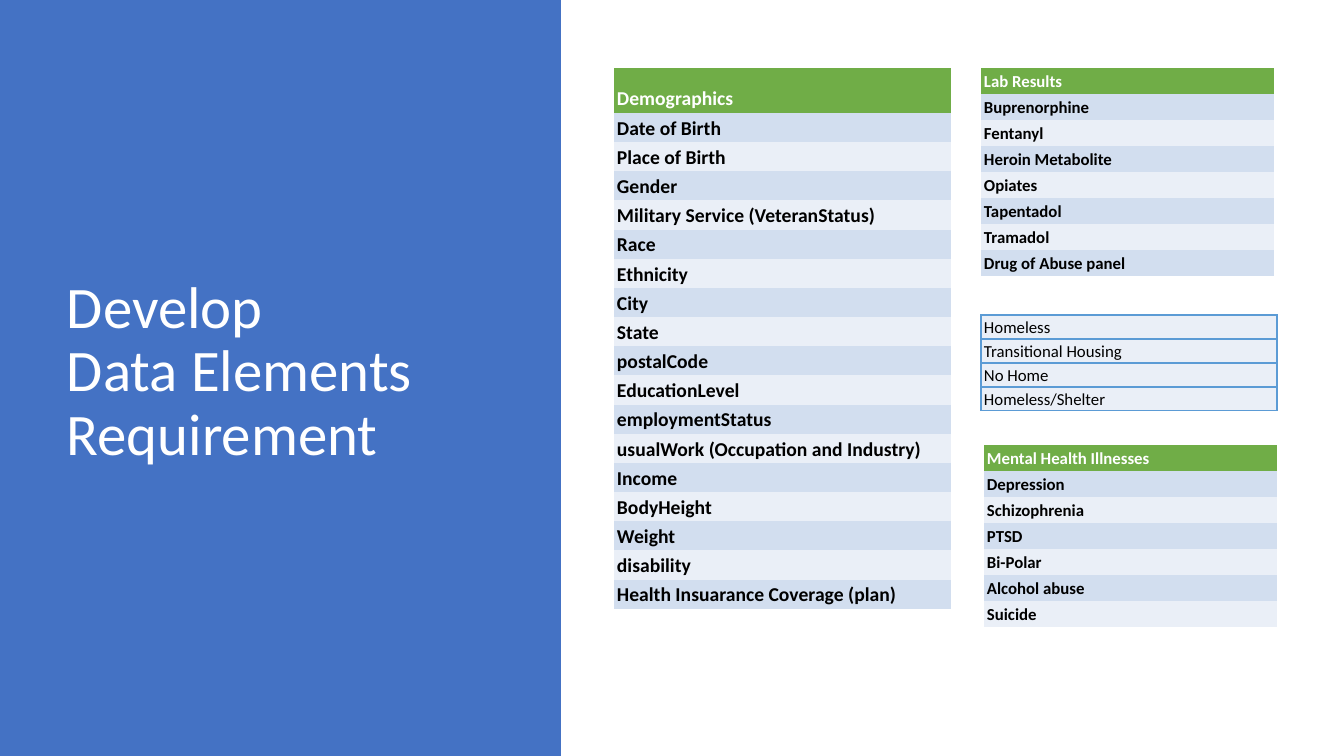
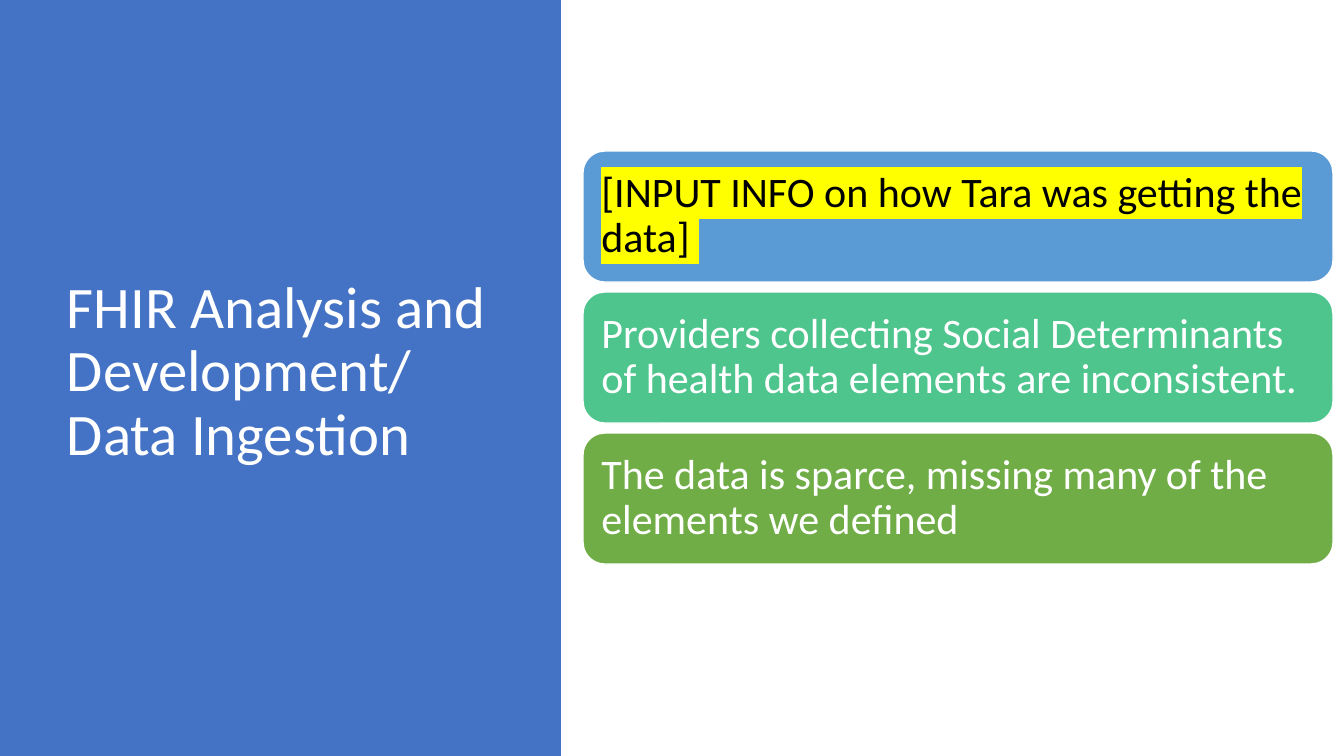
from lxml import etree
from pptx import Presentation
from pptx.dml.color import RGBColor
from pptx.enum import shapes, text
from pptx.oxml.ns import qn
from pptx.util import Emu, Pt

SCALE = 914400 / 100.8  # EMU in one px
WIDE, HIGH = 1344, 756
PLAIN = "{2D5ABB26-0587-4C30-8999-92F81FD0307C}"  # table style without grid
COLORS = {
    "panel": "4472C4", "white": "FFFFFF", "black": "000000",
    "green": "70AD47", "teal": "4DC58D", "blue": "5B9BD5",
    "dark": "D2DEEF", "light": "EAEFF7", "mark": "FFFF00",
}


def px(n):
    return Emu(round(n * SCALE))


def rgb(name):
    return RGBColor.from_string(COLORS[name])


def add_fill(parent, name):
    fill = etree.SubElement(parent, qn("a:solidFill"))
    etree.SubElement(fill, qn("a:srgbClr"), val=COLORS[name])


class Deck:
    font = "Calibri"

    def __init__(self):
        self.prs = Presentation()
        self.prs.slide_width, self.prs.slide_height = px(WIDE), px(HIGH)
        self.slide = None

    def page(self, title):
        """Start a slide with the side panel and its title."""
        self.slide = self.prs.slides.add_slide(self.prs.slide_layouts[6])
        self.shape(shapes.MSO_SHAPE.RECTANGLE, 0, 0, 561, HIGH, "panel")
        box = self.slide.shapes.add_textbox(px(57), px(69), px(449), px(607))
        self.label(box.text_frame, title, 42, "white", ls=0.9)

    def shape(self, kind, x, y, w, h, fill):
        item = self.slide.shapes.add_shape(kind, px(x), px(y), px(w), px(h))
        item.shadow.inherit = False
        item.fill.solid()
        item.fill.fore_color.rgb = rgb(fill)
        item.line.fill.background()
        return item

    def label(self, frame, words, size, color, bold=False, ls=1.0):
        frame.word_wrap = True
        frame.vertical_anchor = text.MSO_ANCHOR.MIDDLE
        frame.text = words
        self.style(frame.paragraphs[0], size, color, bold, ls)

    def style(self, par, size, color, bold, ls):
        par.alignment = text.PP_ALIGN.LEFT
        par.line_spacing = ls
        for run in par.runs:
            run.font.name, run.font.size, run.font.bold = self.font, Pt(size), bold
            run.font.color.rgb = rgb(color)

    def card(self, x, y, w, h, words, fill, color="white", mark=None):
        item = self.shape(shapes.MSO_SHAPE.ROUNDED_RECTANGLE, x, y, w, h, fill)
        item.line.color.rgb = rgb("white")
        item.line.width = Pt(1)
        frame = item.text_frame
        frame.margin_left = frame.margin_right = px(12)
        frame.margin_top = frame.margin_bottom = px(12)
        self.label(frame, words, 30, color, ls=0.9)
        if mark:
            for run in frame.paragraphs[0].runs:
                light = etree.Element(qn("a:highlight"))
                etree.SubElement(light, qn("a:srgbClr"), val=COLORS[mark])
                run._r.rPr.find(qn("a:latin")).addprevious(light)

    def table(self, x, y, w, row, items, size=12, top=None, head=True):
        """One column: a banded list under a header, or a ruled list."""
        grid = self.slide.shapes.add_table(
            len(items), 1, px(x), px(y), px(w), px(row * len(items))).table
        grid._tbl.tblPr.find(qn("a:tableStyleId")).text = PLAIN
        grid.first_row = grid.horz_banding = False
        for i, words in enumerate(items):
            grid.rows[i].height = px(top if top and i == 0 else row)
            cell = grid.cell(i, 0)
            cell.margin_left = cell.margin_right = px(3)
            cell.margin_top, cell.margin_bottom = px(2), px(2 if head else 1)
            cell.vertical_anchor = text.MSO_ANCHOR.BOTTOM
            cell.text = words
            first = head and i == 0
            self.style(cell.text_frame.paragraphs[0], size,
                       "white" if first else "black", head, 1.07 if head else 1.0)
            if not head:
                self.border(cell, "blue")
            band = "dark" if head and i % 2 else "light"
            cell.fill.solid()
            cell.fill.fore_color.rgb = rgb("green" if first else band)

    def border(self, cell, color):
        props = cell._tc.get_or_add_tcPr()
        for side in "LRTB":
            line = etree.SubElement(props, qn("a:ln" + side), w=str(Pt(1)))
            add_fill(line, color)


def main():
    deck = Deck()

    # Data elements
    deck.page("Develop \vData Elements Requirement")
    deck.table(614, 68, 337, 29, [
        "Demographics", "Date of Birth", "Place of Birth", "Gender",
        "Military Service (VeteranStatus)", "Race", "Ethnicity", "City",
        "State", "postalCode", "EducationLevel", "employmentStatus",
        "usualWork (Occupation and Industry)", "Income", "BodyHeight",
        "Weight", "disability", "Health Insuarance Coverage (plan)",
    ], size=14, top=45)
    deck.table(981, 68, 293, 26, [
        "Lab Results", "Buprenorphine", "Fentanyl", "Heroin Metabolite",
        "Opiates", "Tapentadol", "Tramadol", "Drug of Abuse panel"])
    deck.table(984, 445, 293, 26, [
        "Mental Health Illnesses", "Depression", "Schizophrenia", "PTSD",
        "Bi-Polar", "Alcohol abuse", "Suicide"])
    deck.table(981, 315, 296, 24, [
        "Homeless", "Transitional Housing", "No Home", "Homeless/Shelter",
    ], head=False)

    # Data ingestion
    deck.page("FHIR Analysis and Development/\vData Ingestion")
    cards = [
        ("[INPUT INFO on how Tara was getting the data] ", "blue", "black", "mark"),
        ("Providers collecting Social Determinants of health data elements "
         "are inconsistent.", "teal"),
        ("The data is sparce, missing many of the elements we defined", "green"),
    ]
    for i, card in enumerate(cards):
        deck.card(583, 151 + 141 * i, 750, 131, *card)

    deck.prs.save("out.pptx")


if __name__ == "__main__":
    main()
